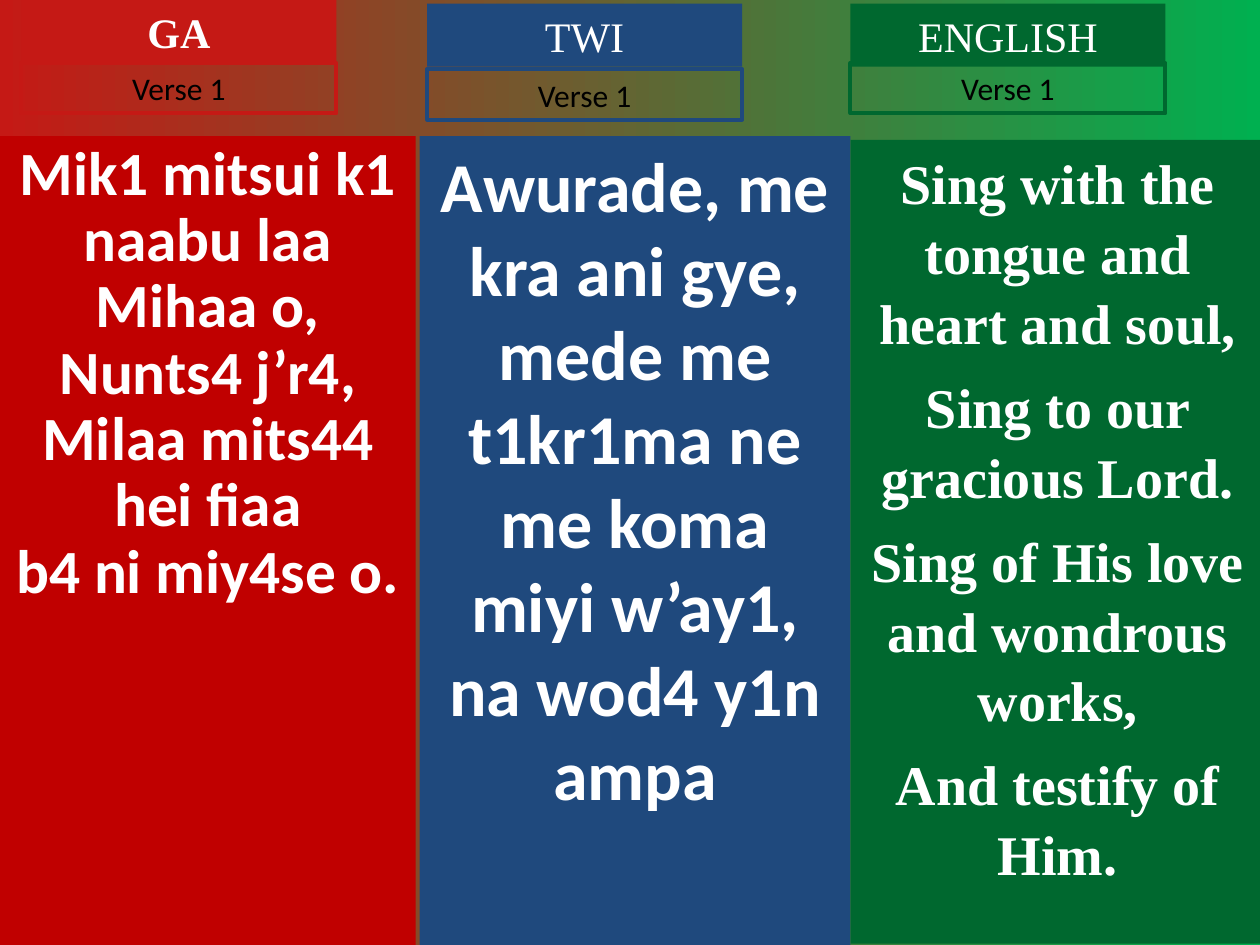
from dataclasses import dataclass

from pptx import Presentation
from pptx.dml.color import RGBColor
from pptx.enum import shapes, text
from pptx import util as u

SCALE = 9144


@dataclass(frozen=True)
class Theme:
    """Colours, fonts and type sizes of the hymn slide."""
    red: str = "C51915"
    deep_red: str = "C00000"
    blue: str = "1F497D"
    green: str = "00682F"
    bright_green: str = "00B050"
    white: str = "FFFFFF"
    black: str = "000000"
    sans: str = "Calibri"
    serif: str = "Times New Roman"
    language_size: float = 24
    verse_size: float = 18
    outline: float = 2.25


THEME = Theme()


@dataclass(frozen=True)
class Lyrics:
    """Lines of one verse and their setting."""
    lines: tuple
    font: str
    size: float
    spacing: float = 1.0
    gap: float = 0


def colour(code):
    """Return the colour for a hex code."""
    return RGBColor.from_string(code)


def px(*lengths):
    """Turn px lengths into EMU."""
    return [u.Emu(length * SCALE) for length in lengths]


def add_panel(slide, box, lyrics, ink, fill=None, line=None, bold=False,
              anchor=text.MSO_ANCHOR.TOP):
    """Add one rectangle with centred lines of text."""
    panel = slide.shapes.add_shape(shapes.MSO_SHAPE.RECTANGLE, *px(*box))
    panel.shadow.inherit = False
    if fill:
        panel.fill.solid()
        panel.fill.fore_color.rgb = colour(fill)
    else:
        panel.fill.background()
    if line:
        panel.line.color.rgb = colour(line)
        panel.line.width = u.Pt(THEME.outline)
    else:
        panel.line.fill.background()
    frame = panel.text_frame
    frame.word_wrap = True
    frame.vertical_anchor = anchor
    frame.text = "\n".join(lyrics.lines)
    for index, paragraph in enumerate(frame.paragraphs):
        paragraph.alignment = text.PP_ALIGN.CENTER
        paragraph.line_spacing = lyrics.spacing
        paragraph.space_before = u.Pt(lyrics.gap if index else 0)
        for run in paragraph.runs:
            run.font.name = lyrics.font
            run.font.size = u.Pt(lyrics.size)
            run.font.bold = bold
            run.font.color.rgb = colour(ink)


def add_heading(slide, box, language, accent, verse_offset, bold=False):
    """Add the language label and the verse label below it."""
    left, top, width, height = box
    middle = text.MSO_ANCHOR.MIDDLE
    add_panel(slide, box, Lyrics((language,), THEME.serif, THEME.language_size),
              THEME.white, fill=accent, bold=bold, anchor=middle)
    add_panel(slide, (left, top + verse_offset, width, 40),
              Lyrics(("Verse 1",), THEME.sans, THEME.verse_size),
              THEME.black, line=accent, anchor=middle)


def paint_background(slide):
    """Fill the slide with a gradient from left to right."""
    fill = slide.background.fill
    fill.gradient()
    fill.gradient_angle = 0
    for stop, position, code in zip(fill.gradient_stops, (0, 1),
                                    (THEME.red, THEME.bright_green)):
        stop.position = position
        stop.color.rgb = colour(code)


def main():
    """Build the slide of one verse in three languages."""
    deck = Presentation()
    deck.slide_width, deck.slide_height = px(1000, 750)
    slide = deck.slides.add_slide(deck.slide_layouts[6])
    paint_background(slide)

    ga = Lyrics(("Mik1 mitsui k1 naabu laa", "Mihaa o, Nunts4 j’r4,",
                 "Milaa mits44 hei fiaa", "b4 ni miy4se o."),
                THEME.sans, 35.1, spacing=0.9)
    twi = Lyrics(("Awurade, me kra ani gye,",
                  "mede me t1kr1ma ne me koma miyi w’ay1,",
                  "na wod4 y1n ampa"), THEME.sans, 40)
    english = Lyrics(("Sing with the tongue and heart and soul,",
                      "Sing to our gracious Lord.",
                      "Sing of His love and wondrous works,",
                      "And testify of Him."),
                     THEME.serif, 32, spacing=1.04, gap=8)

    for box, lyrics, fill in (((0, 108, 330, 642), ga, THEME.deep_red),
                              ((333, 108, 342, 642), twi, THEME.blue),
                              ((675, 111, 329, 638), english, THEME.green)):
        add_panel(slide, box, lyrics, THEME.white, fill=fill, bold=True)

    add_heading(slide, (17, 0, 250, 50), "GA", THEME.red, 50, bold=True)
    add_heading(slide, (339, 3, 250, 50), "TWI", THEME.blue, 52)
    add_heading(slide, (675, 3, 250, 50), "ENGLISH", THEME.green, 47)

    deck.save("out.pptx")


if __name__ == "__main__":
    main()
